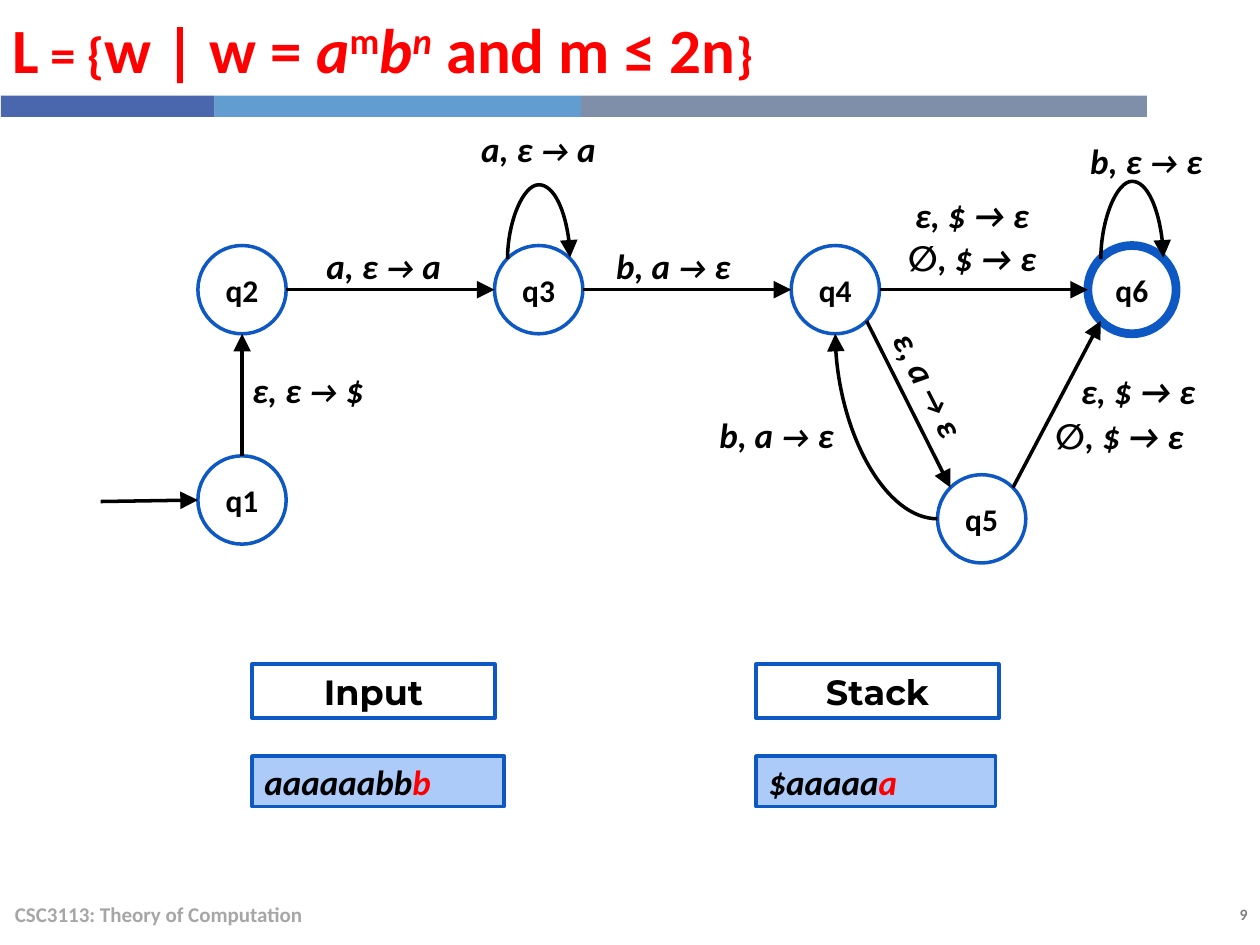
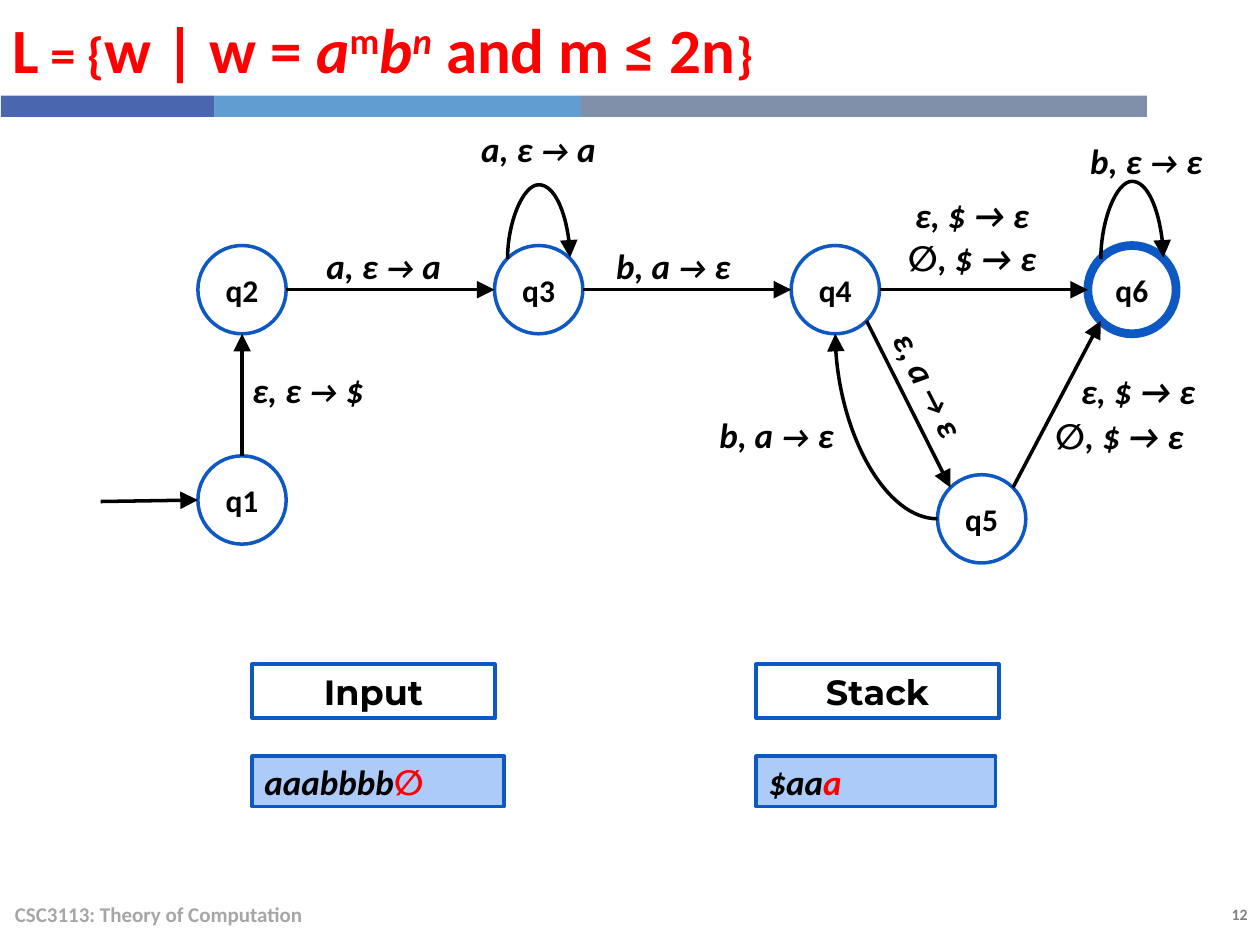
from math import cos, sin, radians
from pptx import Presentation
from pptx.dml.color import RGBColor
from pptx.enum.shapes import MSO_CONNECTOR, MSO_SHAPE
from pptx.enum.text import MSO_ANCHOR, PP_ALIGN
from pptx.oxml.ns import qn
from pptx.util import Cm, Pt
from lxml.etree import SubElement

# Content
TITLE = [("L = {", {"cap": "small"}), ("w | w = ", {}), ("a", {"i": True}),
         ("m", {"sup": True}), ("b", {"i": True}),
         ("n", {"i": True, "sup": True}), (" and m ≤ 2n", {}),
         ("}", {"cap": "small"})]
COURSE = "CSC3113: Theory of Computation"
STEPS = [  # page, then tape and stack, each split before its red symbol
    ("9", ("aaaaaabb", "b"), ("$aaaaa", "a")),
    ("12", ("aaabbbb", "∅"), ("$aa", "a")),
]
BANDS = [("navy", 0.02, 4.31), ("sky", 4.33, 7.38), ("slate", 11.71, 11.41)]

# State centres in cm: four columns at one pitch
LEFT, PITCH, ROW, SIZE = 4.88, 5.98, 5.84, 1.78
NODES = {"q1": (LEFT, 10.08), "q5": (19.79, 10.46)}
NODES.update({q: (LEFT + k * PITCH, ROW)
              for k, q in enumerate(("q2", "q3", "q4", "q6"))})
FINAL = "q6"

# Moves: state and site at each end; sites run anticlockwise from the top by 45°
MOVES = [("q1", 0, "q2", 4), ("q2", 6, "q3", 2), ("q3", 6, "q4", 2),
         ("q4", 6, "q6", 2), ("q5", 7, "q6", 3), ("q4", 5, "q5", 1)]
BEND = ("q5", 2, "q4", 4)
LOOPS = [("q3", 1.5), ("q6", 1.57)]  # state, height

# Labels: left, top, before, arrow size, after, turn
LABELS = [
    (5.92, 4.75, "a, ε ", 18, " a", 0), (11.76, 4.75, "b, a ", 18, " ε", 0),
    (16.92, 7.14, "ε, a ", 18, " ε", 63.2), (9.04, 2.39, "a, ε ", 18, " a", 0),
    (21.29, 2.62, "b, ε ", 18, " ε", 0), (13.84, 8.15, "b, a ", 18, " ε", 0),
    (4.39, 7.24, "ε, ε ", 18, " $", 0), (17.78, 3.71, "ε, $ ", 20, " ε", 0),
    (17.78, 4.58, "∅, $ ", 20, " ε", 0), (21.13, 7.26, "ε, $ ", 20, " ε", 0),
    (20.75, 8.17, "∅, $ ", 20, " ε", 0),
]
# Panels: heading, left, width of the value box
PANELS = [("Input", 5.08, 5.08), ("Stack", 15.24, 4.83)]

HUES = {"navy": "4A66AC", "sky": "629DD1", "slate": "7F8FA9", "edge": "0E58C4",
        "pale": "ACCBF9", "white": "FFFFFF", "ink": "000000", "red": "FF0000",
        "foot": "A6A6A6", "page": "808080"}


def hue(name):
    return RGBColor.from_string(HUES[name])


def write(shape, runs, size, color="ink", align=PP_ALIGN.CENTER,
          face="Calibri", anchor=MSO_ANCHOR.MIDDLE):
    frame = shape.text_frame
    frame.word_wrap = True
    frame.vertical_anchor = anchor
    para = frame.paragraphs[0]
    para.alignment = align
    for text, look in runs:
        run = para.add_run()
        run.text = text
        font = run.font
        font.name, font.bold = face, True
        font.size = Pt(look.get("size", size))
        font.italic = look.get("i", False)
        font.color.rgb = hue(look.get("color", color))
        props = run._r.get_or_add_rPr()
        if "cap" in look:
            props.set("cap", look["cap"])
        if "sup" in look:
            props.set("baseline", "30000")
    return para


def text(slide, x, y, w, h, runs, size, **style):
    box = slide.shapes.add_textbox(Cm(x), Cm(y), Cm(w), Cm(h))
    return box, write(box, runs, size, **style)


def block(slide, kind, x, y, w, h, fill, edge=None):
    shape = slide.shapes.add_shape(kind, Cm(x), Cm(y), Cm(w), Cm(h))
    shape.shadow.inherit = False
    shape.fill.solid()
    shape.fill.fore_color.rgb = hue(fill)
    if edge:
        shape.line.color.rgb = hue("edge")
        shape.line.width = Pt(edge)
    else:
        shape.line.fill.background()
    return shape


def site(name, num):
    x, y = NODES[name]
    turn = radians(90 + 45 * num)
    return x + SIZE / 2 * cos(turn), y - SIZE / 2 * sin(turn)


def arrow(slide, start, end, kind=MSO_CONNECTOR.STRAIGHT):
    line = slide.shapes.add_connector(kind, *map(Cm, start + end))
    line.line.color.rgb = hue("ink")
    line.line.width = Pt(2)
    SubElement(line.line._get_or_add_ln(), qn("a:tailEnd"),
               type="triangle", w="lg", len="lg")
    SubElement(line._element.spPr, qn("a:effectLst"))
    return line


def link(slide, states, move, kind=MSO_CONNECTOR.STRAIGHT):
    head, out, tail, into = move
    line = arrow(slide, site(head, out), site(tail, into), kind)
    # Glue both ends to the eight sites of an ellipse
    props = line._element.nvCxnSpPr.cNvCxnSpPr
    for tag, name, num in (("a:stCxn", head, out), ("a:endCxn", tail, into)):
        SubElement(props, qn(tag), id=str(states[name].shape_id), idx=str(num))
    return line


def loop(slide, states, name, rise):
    line = link(slide, states, (name, 1, name, 7), MSO_CONNECTOR.CURVE)
    (x, y), thin, span = site(name, 1), 0.03, SIZE * cos(radians(45))
    line.left, line.top = Cm(x + span / 2 - thin / 2), Cm(y - span / 2)
    line.width, line.height = Cm(thin), Cm(span)
    form = line._element.spPr.find(qn("a:xfrm"))
    for key, val in (("rot", "5400000"), ("flipH", "1"), ("flipV", "1")):
        form.set(key, val)
    geom = line._element.spPr.find(qn("a:prstGeom"))
    SubElement(geom.find(qn("a:avLst")), qn("a:gd"), name="adj1",
               fmla=f"val {round(rise / thin * 100000)}")


def frame(slide, page):
    # Title, bands and footer
    para = text(slide, 0, 0, 23.11, 1.93, TITLE, 36, color="red",
                align=PP_ALIGN.LEFT)[1]
    para.space_before = Pt(6)
    for fill, x, w in BANDS:
        block(slide, MSO_SHAPE.RECTANGLE, x, 1.93, w, 0.43, fill)
    text(slide, 0.05, 17.91, 17.02, 1.02, [(COURSE, {})], 12, color="foot",
         align=PP_ALIGN.LEFT)
    text(slide, 22.17, 18.11, 3.23, 0.64, [(page, {})], 9, color="page",
         align=PP_ALIGN.RIGHT, anchor=MSO_ANCHOR.TOP)


def graph(slide):
    # States
    states = {}
    for name, (x, y) in NODES.items():
        states[name] = block(slide, MSO_SHAPE.OVAL, x - SIZE / 2, y - SIZE / 2,
                             SIZE, SIZE, "white", 5 if name == FINAL else 2)
        write(states[name], [(name, {})], 18)
    # Arrows
    arrow(slide, (2.03, 10.11), site("q1", 2))
    for move in MOVES:
        link(slide, states, move)
    bend = link(slide, states, BEND, MSO_CONNECTOR.CURVE)
    bend._element.spPr.find(qn("a:prstGeom")).set("prst", "curvedConnector2")
    for name, rise in LOOPS:
        loop(slide, states, name, rise)
    # Labels
    for x, y, pre, size, post, turn in LABELS:
        runs = [(pre, {"i": True}), ("→", {"i": True, "size": size}),
                (post, {"i": True})]
        text(slide, x, y, 3.63, 1.22, runs, 20)[0].rotation = turn


def panels(slide, values):
    for (name, x, w), (rest, last) in zip(PANELS, values):
        head = block(slide, MSO_SHAPE.RECTANGLE, x, 13.39, 4.9, 1.09, "white", 2)
        write(head, [(name, {})], 20, face="Montserrat")
        cell = block(slide, MSO_SHAPE.RECTANGLE, x, 15.24, w, 1.02, "pale", 2)
        write(cell, [(rest, {"i": True}), (last, {"i": True, "color": "red"})],
              20, align=PP_ALIGN.LEFT)


def main():
    deck = Presentation()
    deck.slide_width, deck.slide_height = Cm(25.4), Cm(19.05)
    for page, *values in STEPS:
        slide = deck.slides.add_slide(deck.slide_layouts[6])
        frame(slide, page)
        graph(slide)
        panels(slide, values)
    deck.save("out.pptx")


if __name__ == "__main__":
    main()
